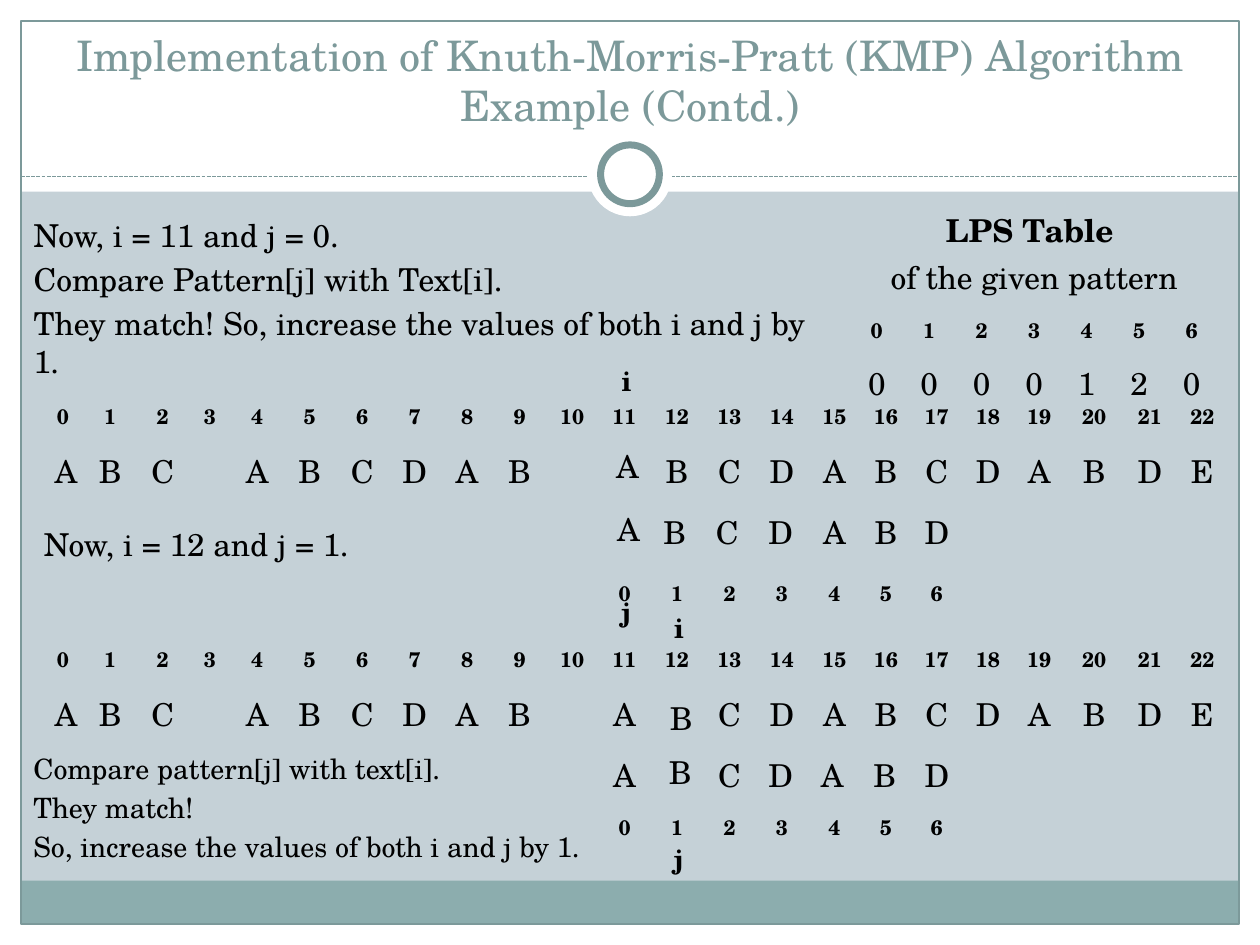
import lxml.etree
import pptx
import pptx.dml.color
import pptx.enum.dml
import pptx.enum.shapes
import pptx.enum.text
import pptx.oxml.ns
import pptx.util

Pt = pptx.util.Pt
RGBColor = pptx.dml.color.RGBColor
SHAPE = pptx.enum.shapes.MSO_SHAPE
ALIGN = pptx.enum.text.PP_ALIGN
ANCHOR = pptx.enum.text.MSO_ANCHOR
FIT = pptx.enum.text.MSO_AUTO_SIZE
qn = pptx.oxml.ns.qn

FONT = "TeX Gyre Schola"
BLACK = RGBColor(0x00, 0x00, 0x00)
WHITE = RGBColor(0xFF, 0xFF, 0xFF)
SAGE = RGBColor(0x7C, 0x99, 0x9A)
TEAL = RGBColor(0x8C, 0xAD, 0xAE)
MIST = RGBColor(0xC5, 0xD1, 0xD7)

PLAIN = "{2D5ABB26-0587-4C30-8999-92F81FD0307C}"  # table style without grid
WIDTHS = [24, 30, 30, 24] + [30] * 12 + [28.8] + [29.3] * 3 + [33.6, 30, 30]
COUNT = len(WIDTHS)


def add_run(para, text, size, bold=False, color=BLACK):
    run = para.add_run()
    run.text = text
    font = run.font
    font.name, font.size, font.bold = FONT, Pt(size), bold
    font.color.rgb = color


def place(shape, left, top, width, height):
    shape.left, shape.top = Pt(left), Pt(top)
    shape.width, shape.height = Pt(width), Pt(height)


def add_block(slide, kind, box, fill=None, line=None, weight=0.75):
    shape = slide.shapes.add_shape(kind, *map(Pt, box))
    shape.shadow.inherit = False
    if fill is None:
        shape.fill.background()
    else:
        shape.fill.solid()
        shape.fill.fore_color.rgb = fill
    if line is None:
        shape.line.fill.background()
    else:
        shape.line.color.rgb = line
        shape.line.width = Pt(weight)


def add_rule(slide, left, right, top):
    rule = slide.shapes.add_connector(
        pptx.enum.shapes.MSO_CONNECTOR.STRAIGHT, Pt(left), Pt(top), Pt(right), Pt(top))
    rule.line.color.rgb = SAGE
    rule.line.width = Pt(0.75)
    rule.line.dash_style = pptx.enum.dml.MSO_LINE.SQUARE_DOT
    lxml.etree.SubElement(rule._element.spPr, qn("a:effectLst"))


def add_frame(slide):
    # White margins, footer band, outline and the ring on the dashed rule
    for box in ((0, 528, 720, 12), (0, 0, 720, 109.5),
                (0, 0, 12, 540), (708, 0, 12, 540)):
        add_block(slide, SHAPE.RECTANGLE, box, WHITE)
    add_block(slide, SHAPE.RECTANGLE, (11.75, 503.3, 696, 24.5), TEAL)
    add_block(slide, SHAPE.RECTANGLE, (12, 12, 696, 516), line=SAGE)
    add_rule(slide, 12, 708, 100.8)
    add_block(slide, SHAPE.OVAL, (336, 75.6, 48, 48), WHITE)
    add_block(slide, SHAPE.OVAL, (343.2, 82.8, 33.6, 33.6), WHITE, SAGE, 4)


def fill_lines(shape, lines, size):
    frame = shape.text_frame
    frame.word_wrap = True
    frame.auto_size = FIT.NONE
    frame.vertical_anchor = ANCHOR.TOP
    for num, (text, align) in enumerate(lines):
        para = frame.add_paragraph() if num else frame.paragraphs[0]
        para.alignment = align
        para.space_before = Pt(size * 0.2)
        props = para._p.get_or_add_pPr()
        props.set("marL", "0")
        props.set("indent", "0")
        lxml.etree.SubElement(props, qn("a:buNone"))
        add_run(para, text, size)


def add_note(slide, box, lines, size):
    fill_lines(slide.shapes.add_textbox(*map(Pt, box)), lines, size)


def add_mark(slide, text, left, top, size, bold=False):
    box = slide.shapes.add_textbox(Pt(left), Pt(top), Pt(20 if bold else 26.6),
                                   Pt(26.6 if bold else 29))
    box.text_frame.word_wrap = False
    box.text_frame.auto_size = FIT.SHAPE_TO_FIT_TEXT
    add_run(box.text_frame.paragraphs[0], text, size, bold)


def add_grid(slide, left, top, widths, heights):
    shape = slide.shapes.add_table(len(heights), len(widths), Pt(left), Pt(top),
                                   Pt(sum(widths)), Pt(sum(heights)))
    table = shape.table
    table.first_row = table.horz_banding = False
    table._tbl.tblPr.find(qn("a:tableStyleId")).text = PLAIN
    for col, width in zip(table.columns, widths):
        col.width = Pt(width)
    for row, height in zip(table.rows, heights):
        row.height = Pt(height)
    for cell in table.iter_cells():
        cell.fill.background()
        cell.vertical_anchor = ANCHOR.MIDDLE
    return table


def fill_row(table, row, texts, size, bold=False, flush=()):
    # Columns named in flush keep to the left
    for col, text in enumerate(texts):
        para = table.cell(row, col).text_frame.paragraphs[0]
        if col not in flush:
            para.alignment = ALIGN.CENTER
        if text:
            add_run(para, text, size, bold)
        else:
            end = lxml.etree.SubElement(para._p, qn("a:endParaRPr"))
            end.set("sz", str(size * 100))


def spread(marks, start=0):
    # A dot stands for an empty cell
    cells = [""] * start + ["" if mark == "." else mark for mark in marks]
    return cells + [""] * (COUNT - len(cells))


def add_match(slide, top, text, pattern, flush, last):
    table = add_grid(slide, 24, top, WIDTHS, [26.6, 36, 32.4, last])
    fill_row(table, 0, map(str, range(COUNT)), 12, True)
    fill_row(table, 1, spread(text), 18)
    fill_row(table, 2, spread(pattern, 11), 18, flush=flush)
    fill_row(table, 3, spread("0123456", 11), 12, True)


def add_lps(slide):
    table = add_grid(slide, 486, 113.8, [30] * 7, [54, 26.4, 33.6])
    head = table.cell(0, 0)
    head.merge(table.cell(0, 6))
    first = head.text_frame.paragraphs[0]
    second = head.text_frame.add_paragraph()
    first.alignment = second.alignment = ALIGN.CENTER
    add_run(first, "LPS Table ", 18, True)
    add_run(second, "of the given pattern", 18)
    fill_row(table, 1, "0123456", 12, True)
    fill_row(table, 2, "0000120", 18)


def set_title(title):
    place(title, 24, 18, 672, 60)
    frame = title.text_frame
    frame.word_wrap = True
    frame.auto_size = FIT.NONE
    frame.vertical_anchor = ANCHOR.BOTTOM
    para = frame.paragraphs[0]
    para.alignment = ALIGN.CENTER
    add_run(para, "Implementation of Knuth-Morris-Pratt (KMP) Algorithm", 24, color=SAGE)
    para.add_line_break()
    add_run(para, "Example (Contd.)", 24, color=SAGE)


def main():
    deck = pptx.Presentation()
    deck.slide_width, deck.slide_height = Pt(720), Pt(540)
    slide = deck.slides.add_slide(deck.slide_layouts[1])
    slide.background.fill.solid()
    slide.background.fill.fore_color.rgb = MIST
    title, body = slide.placeholders
    add_frame(slide)

    # Title and first step, raised above the frame
    for holder in (body, title):
        slide.shapes._spTree.append(holder._element)
    set_title(title)
    place(body, 12, 120, 462, 88.6)
    fill_lines(body, [
        ("Now, i = 11 and j = 0.", ALIGN.JUSTIFY),
        ("Compare Pattern[j] with Text[i].", ALIGN.JUSTIFY),
        ("They match! So, increase the values of both i and j by 1.", ALIGN.LEFT)], 18)

    # Tables: text above pattern for both steps, then the LPS values
    add_match(slide, 224.6, "ABC.ABCDAB..BCDABCDABDE", ".BCDABD", (12, 13, 14), 36)
    add_match(slide, 363.6, "ABC.ABCDAB.A.CDABCDABDE", "A.CDABD", (14, 15, 16), 21.6)
    add_lps(slide)

    # Second step
    add_note(slide, (18, 296.6, 204, 33), [("Now, i = 12 and j = 1.", ALIGN.JUSTIFY)], 18)
    add_note(slide, (12, 426, 342, 78), [(text, ALIGN.JUSTIFY) for text in (
        "Compare pattern[j] with text[i].", "They match! ",
        "So, increase the values of both i and j by 1.")], 16)

    # Index pointers and the letters being compared
    for text, left, top in (("i", 348, 204), ("j", 348, 336),
                            ("i", 378, 345.6), ("j", 378, 477.6)):
        add_mark(slide, text, left, top, 16, True)
    for text, left, top in (("A", 345, 252), ("A", 345.6, 288),
                            ("B", 375.8, 396), ("B", 375.2, 427)):
        add_mark(slide, text, left, top, 18)
    deck.save("out.pptx")


if __name__ == "__main__":
    main()
